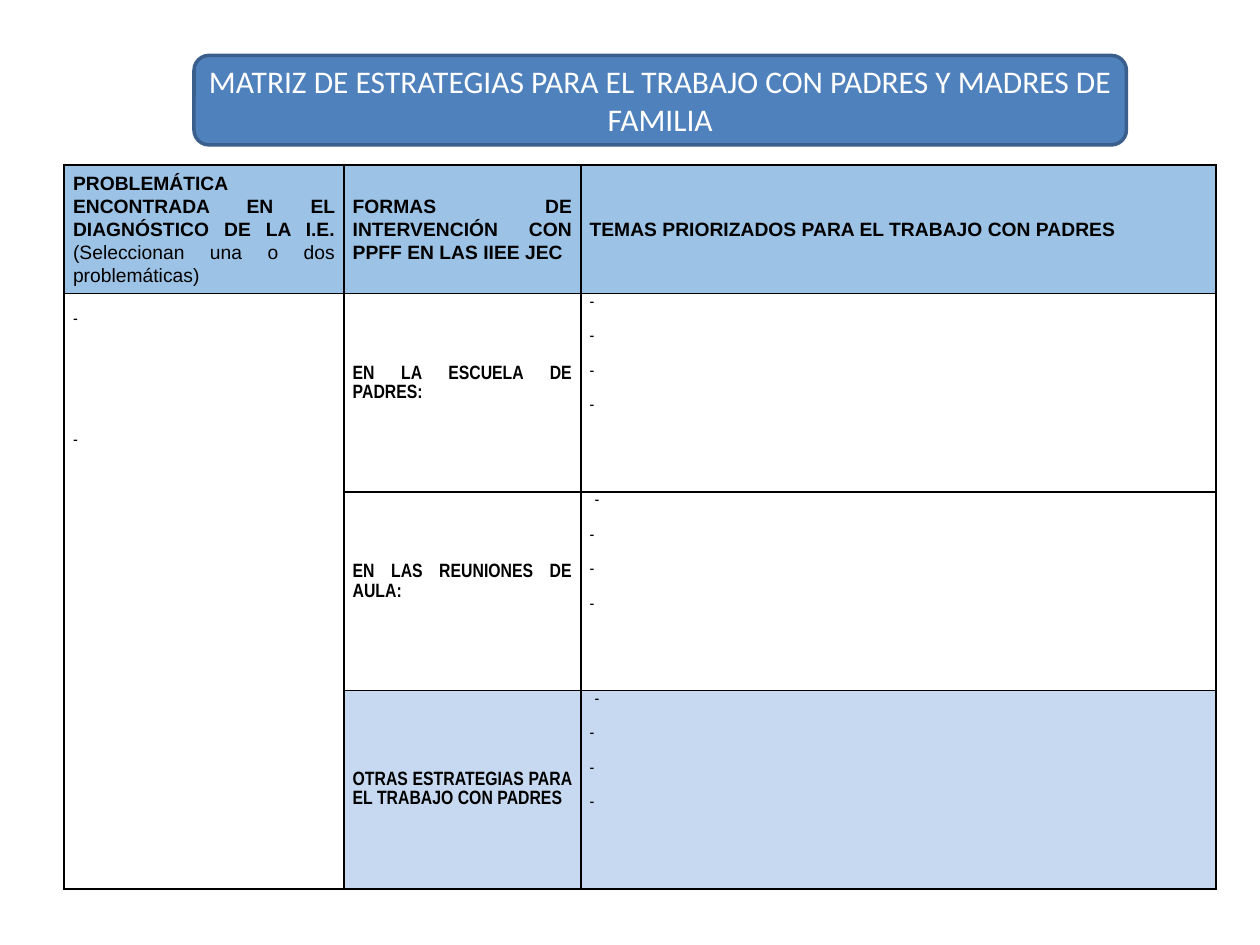
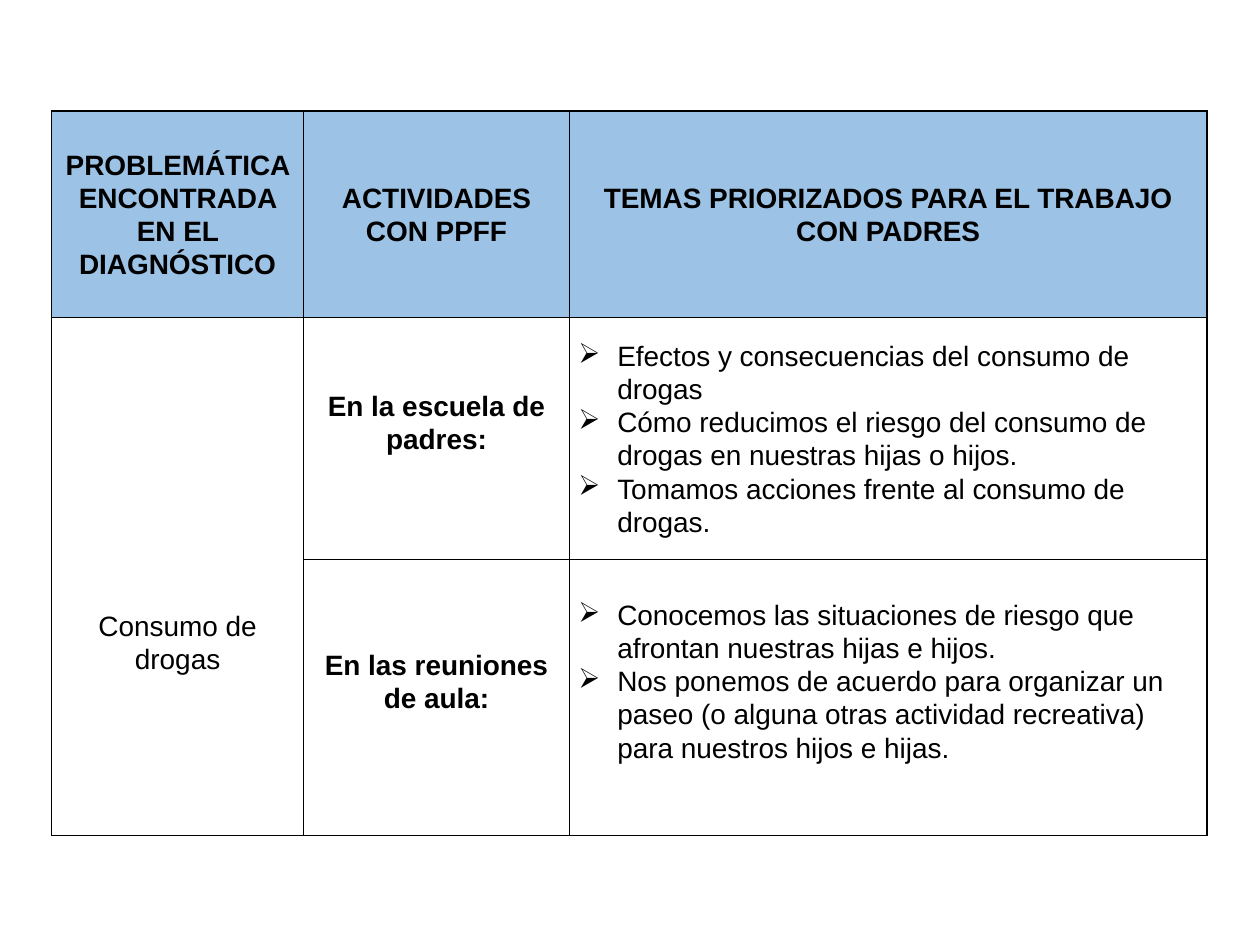
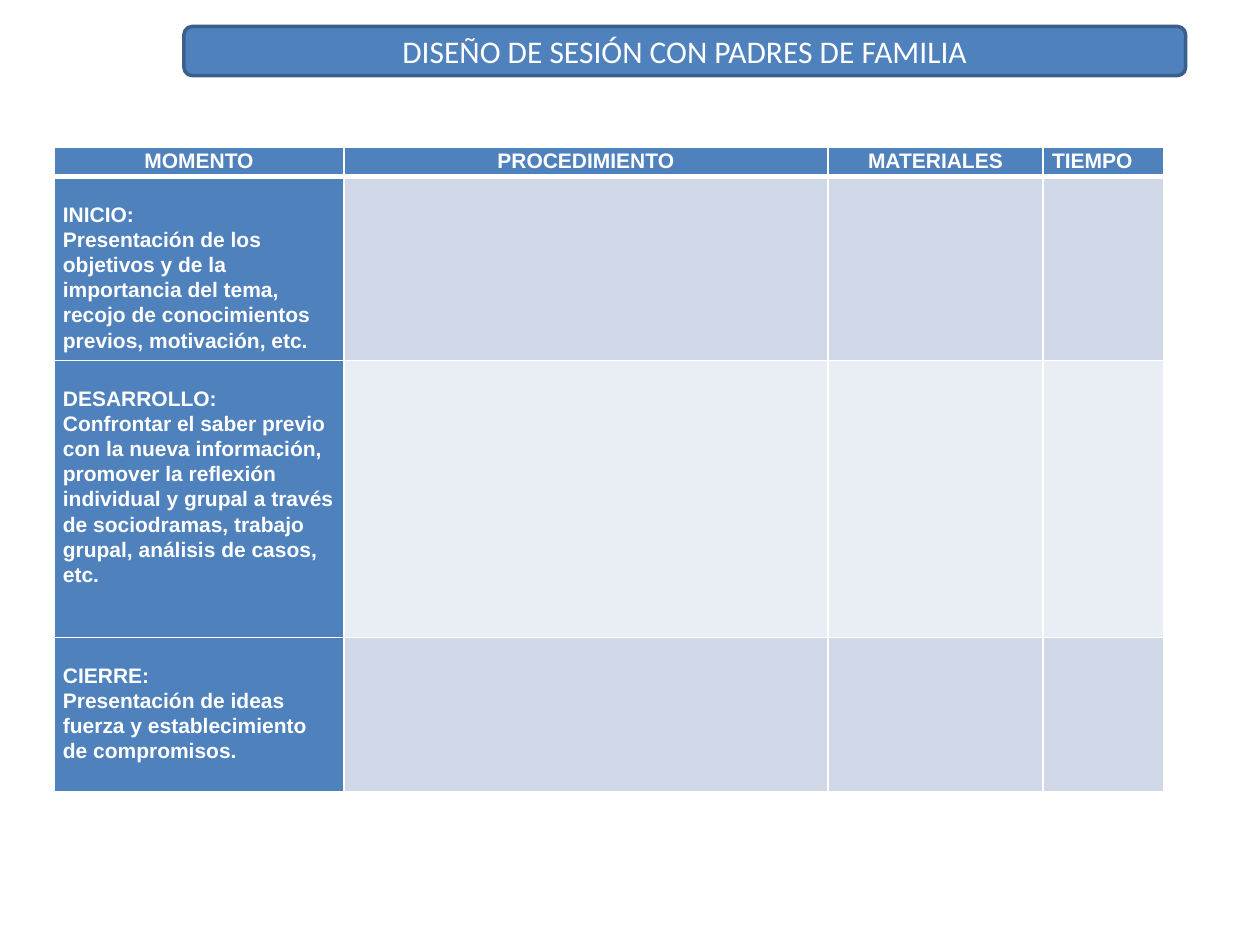
import dataclasses
import typing

import pptx
import pptx.dml.color
import pptx.enum.shapes
import pptx.enum.text
import pptx.oxml.ns
import pptx.slide
import pptx.table
import pptx.text.text
import pptx.util
from lxml import etree

ALIGN = pptx.enum.text.PP_ALIGN
ANCHOR = pptx.enum.text.MSO_ANCHOR
Pt = pptx.util.Pt
Inches = pptx.util.Inches

SLIDE_WIDTH = Inches(10)
SLIDE_HEIGHT = Inches(7.5)
TITLE_ONLY, BLANK = 5, 6
SIDE_MARGIN = Inches(0.07)
BULLET_INDENT = Inches(0.31)
LINE_SPACING = 1.07

COLORS = {
    "banner": "4F81BD",
    "banner edge": "3A5F8C",
    "header": "9CC2E5",
    "highlight": "C6D9F1",
    "dark band": "D0D8E8",
    "light band": "E9EDF4",
    "black": "000000",
    "white": "FFFFFF",
}


@dataclasses.dataclass(frozen=True)
class Banner:
    """Position and size are percentages of the slide."""
    text: str
    left: float
    top: float
    width: float
    height: float


@dataclasses.dataclass(frozen=True)
class Style:
    """Cell look; top and bottom are inner margins in inches, gap is points between paragraphs."""
    size: float
    font: str = "Arial"
    bold: bool = False
    color: str = "black"
    fill: str | None = None
    align: ALIGN = ALIGN.LEFT
    anchor: ANCHOR = ANCHOR.MIDDLE
    top: float = 0
    bottom: float = 0
    gap: float = 0
    first_indent: float = 0
    bullet: str | None = None


@dataclasses.dataclass(frozen=True)
class Cell:
    style: Style
    paragraphs: tuple[str, ...] = ()
    plain_ending: str = ""


@dataclasses.dataclass(frozen=True)
class Grid:
    """Positions, columns and rows are percentages of the slide; a None cell joins the one above."""
    left: float
    top: float
    columns: tuple[float, ...]
    rows: tuple[float, ...]
    cells: tuple[tuple[Cell | None, ...], ...]
    border: str = "black"
    header_rule: float = 1


def across(percent: float) -> int:
    return round(SLIDE_WIDTH * percent / 100)


def down(percent: float) -> int:
    return round(SLIDE_HEIGHT * percent / 100)


def rgb(name: str) -> pptx.dml.color.RGBColor:
    return pptx.dml.color.RGBColor.from_string(COLORS[name])


def draw_banner(page: pptx.slide.Slide, banner: Banner) -> None:
    place = (across(banner.left), down(banner.top), across(banner.width), down(banner.height))
    box = page.shapes.add_shape(pptx.enum.shapes.MSO_SHAPE.ROUNDED_RECTANGLE, *place)
    box.shadow.inherit = False
    box.fill.solid()
    box.fill.fore_color.rgb = rgb("banner")
    box.line.color.rgb = rgb("banner edge")
    box.line.width = Pt(2)

    title = page.shapes.title
    box._element.addnext(title._element)  # the title text lies over the box
    title.left, title.top, title.width, title.height = place
    frame = title.text_frame
    frame.text = banner.text
    frame.word_wrap = True
    frame.auto_size = pptx.enum.text.MSO_AUTO_SIZE.NONE
    frame.vertical_anchor = ANCHOR.MIDDLE
    para = frame.paragraphs[0]
    para.alignment = ALIGN.CENTER
    para.font.name = "Calibri"
    para.font.size = Pt(18)
    para.font.color.rgb = rgb("white")


def set_borders(target: pptx.table._Cell, color: str, top: float, bottom: float) -> None:
    properties = target._tc.get_or_add_tcPr()
    for side, width in (("L", 1), ("R", 1), ("T", top), ("B", bottom)):
        line = etree.SubElement(properties, pptx.oxml.ns.qn(f"a:ln{side}"), w=str(Pt(width)))
        solid = etree.SubElement(line, pptx.oxml.ns.qn("a:solidFill"))
        etree.SubElement(solid, pptx.oxml.ns.qn("a:srgbClr"), val=COLORS[color])


def format_paragraph(para: pptx.text.text._Paragraph, style: Style, first: bool) -> None:
    para.alignment = style.align
    para.line_spacing = LINE_SPACING
    if not first:
        para.space_before = Pt(style.gap)
    properties = para._p.get_or_add_pPr()
    if style.bullet:
        properties.set("marL", str(BULLET_INDENT))
        properties.set("indent", str(-BULLET_INDENT))
        etree.SubElement(properties, pptx.oxml.ns.qn("a:buChar"), char=style.bullet)
    elif first and style.first_indent:
        properties.set("marL", str(Inches(style.first_indent)))
    para.font.name = style.font
    para.font.size = Pt(style.size)
    para.font.bold = style.bold
    para.font.color.rgb = rgb(style.color)


def fill_cell(target: pptx.table._Cell, cell: Cell) -> None:
    style = cell.style
    if style.fill:
        target.fill.solid()
        target.fill.fore_color.rgb = rgb(style.fill)
    else:
        target.fill.background()
    target.margin_left = target.margin_right = SIDE_MARGIN
    target.margin_top = Inches(style.top)
    target.margin_bottom = Inches(style.bottom)
    target.vertical_anchor = style.anchor
    frame = target.text_frame
    for index, text in enumerate(cell.paragraphs):
        para = frame.add_paragraph() if index else frame.paragraphs[0]
        format_paragraph(para, style, first=index == 0)
        para.add_run().text = text
    if cell.plain_ending:
        span = frame.paragraphs[-1].add_run()
        span.text = cell.plain_ending
        span.font.bold = False


def draw_grid(page: pptx.slide.Slide, grid: Grid) -> None:
    frame = page.shapes.add_table(
        len(grid.rows), len(grid.columns), across(grid.left), down(grid.top),
        across(sum(grid.columns)), down(sum(grid.rows)))
    table = frame.table
    table.first_row = table.horz_banding = False
    for column, width in zip(table.columns, grid.columns):
        column.width = across(width)
    for row, height in zip(table.rows, grid.rows):
        row.height = down(height)
    for row_index, row_cells in enumerate(grid.cells):
        for column_index, cell in enumerate(row_cells):
            target = table.cell(row_index, column_index)
            set_borders(target, grid.border,
                        top=grid.header_rule if row_index == 1 else 1,
                        bottom=grid.header_rule if row_index == 0 else 1)
            if cell:
                fill_cell(target, cell)
    if grid.cells[-1][0] is None:
        table.cell(1, 0).merge(table.cell(len(grid.rows) - 1, 0))


def strategy_grid() -> Grid:
    header = Style(11, bold=True, fill="header", align=ALIGN.JUSTIFY)
    label = Style(11, "Arial Narrow", bold=True, align=ALIGN.JUSTIFY, bottom=0.15)
    dashes = Style(10, "Arial Narrow", align=ALIGN.JUSTIFY, anchor=ANCHOR.TOP, gap=9.86)
    indented = dataclasses.replace(dashes, first_indent=0.04)
    problems = dataclasses.replace(dashes, top=0.14, gap=59)
    four = ("-",) * 4
    return Grid(5.1, 17.47, (22.2, 18.8, 50.4), (13.6, 21, 21, 21), (
        (Cell(header, ("PROBLEMÁTICA ENCONTRADA EN EL DIAGNÓSTICO DE LA I.E. ",),
              "(Seleccionan una o dos problemáticas)"),
         Cell(header, ("FORMAS DE INTERVENCIÓN CON PPFF EN LAS IIEE JEC",)),
         Cell(header, ("TEMAS PRIORIZADOS PARA EL TRABAJO CON PADRES",))),
        (Cell(problems, ("-", "-")),
         Cell(label, ("EN LA ESCUELA DE PADRES:",)), Cell(dashes, four)),
        (None, Cell(label, ("EN LAS REUNIONES DE AULA:",)), Cell(indented, four)),
        (None,
         Cell(dataclasses.replace(label, fill="highlight", bottom=0),
              ("OTRAS ESTRATEGIAS PARA EL TRABAJO CON PADRES",)),
         Cell(dataclasses.replace(indented, fill="highlight"), four)),
    ))


def example_grid() -> Grid:
    header = Style(16, bold=True, fill="header", align=ALIGN.CENTER)
    problem = Style(16, align=ALIGN.CENTER, top=1.05)
    label = Style(16, bold=True, align=ALIGN.CENTER, bottom=0.26)
    topics = Style(16, bullet="➢")
    return Grid(4.1, 11.73, (20, 21.1, 50.6), (21.87, 25.6, 29.2), (
        (Cell(header, ("PROBLEMÁTICA ENCONTRADA EN EL DIAGNÓSTICO",)),
         Cell(header, ("ACTIVIDADES CON PPFF",)),
         Cell(header, ("TEMAS PRIORIZADOS PARA EL TRABAJO CON PADRES",))),
        (Cell(problem, ("Consumo de drogas",)),
         Cell(label, ("En la escuela de padres:",)),
         Cell(topics, (
             "Efectos y consecuencias del consumo de drogas",
             "Cómo reducimos el riesgo del consumo de drogas en nuestras hijas o hijos.",
             "Tomamos acciones frente al consumo de drogas."))),
        (None,
         Cell(label, ("En las reuniones de aula:",)),
         Cell(dataclasses.replace(topics, bottom=0.26), (
             "Conocemos las situaciones de riesgo que afrontan nuestras hijas e hijos.",
             "Nos ponemos de acuerdo para organizar un paseo (o alguna otras actividad "
             "recreativa) para nuestros hijos e hijas."))),
    ))


def session_grid() -> Grid:
    moment = Style(12, bold=True, color="white", fill="banner", anchor=ANCHOR.TOP, top=0.2)
    time_header = dataclasses.replace(moment, top=0)
    header = dataclasses.replace(time_header, align=ALIGN.CENTER)
    moments = (
        ("INICIO:", "Presentación de los objetivos y de la importancia del tema, recojo de "
                    "conocimientos previos, motivación, etc."),
        ("DESARROLLO:", "Confrontar el saber previo con la nueva información, promover la "
                        "reflexión individual y grupal a través de sociodramas, trabajo "
                        "grupal, análisis de casos, etc."),
        ("CIERRE:", "Presentación de ideas fuerza y establecimiento de compromisos."),
    )
    bands = ("dark band", "light band", "dark band")
    headings = tuple(Cell(header, (text,)) for text in ("MOMENTO", "PROCEDIMIENTO", "MATERIALES"))
    body = tuple(
        (Cell(moment, texts), *[Cell(Style(12, fill=band))] * 3)
        for texts, band in zip(moments, bands))
    return Grid(4.3, 15.6, (23, 38.4, 17.1, 9.6), (3.07, 19.47, 29.33, 16.27),
                ((*headings, Cell(time_header, ("TIEMPO",))), *body),
                border="white", header_rule=3)


class PagePlan(typing.NamedTuple):
    grid: Grid
    banner: Banner | None = None


def main() -> None:
    deck = pptx.Presentation()
    deck.slide_width, deck.slide_height = SLIDE_WIDTH, SLIDE_HEIGHT
    plans = (
        PagePlan(strategy_grid(), Banner(
            "MATRIZ DE ESTRATEGIAS PARA EL TRABAJO CON PADRES Y MADRES DE FAMILIA",
            15.4, 5.87, 74, 9.47)),
        PagePlan(example_grid()),
        PagePlan(session_grid(), Banner(
            "DISEÑO DE SESIÓN CON PADRES DE FAMILIA", 14.6, 2.8, 79.5, 5.2)),
    )
    for plan in plans:
        page = deck.slides.add_slide(deck.slide_layouts[TITLE_ONLY if plan.banner else BLANK])
        if plan.banner:
            draw_banner(page, plan.banner)
        draw_grid(page, plan.grid)
    deck.save("out.pptx")


if __name__ == "__main__":
    main()
